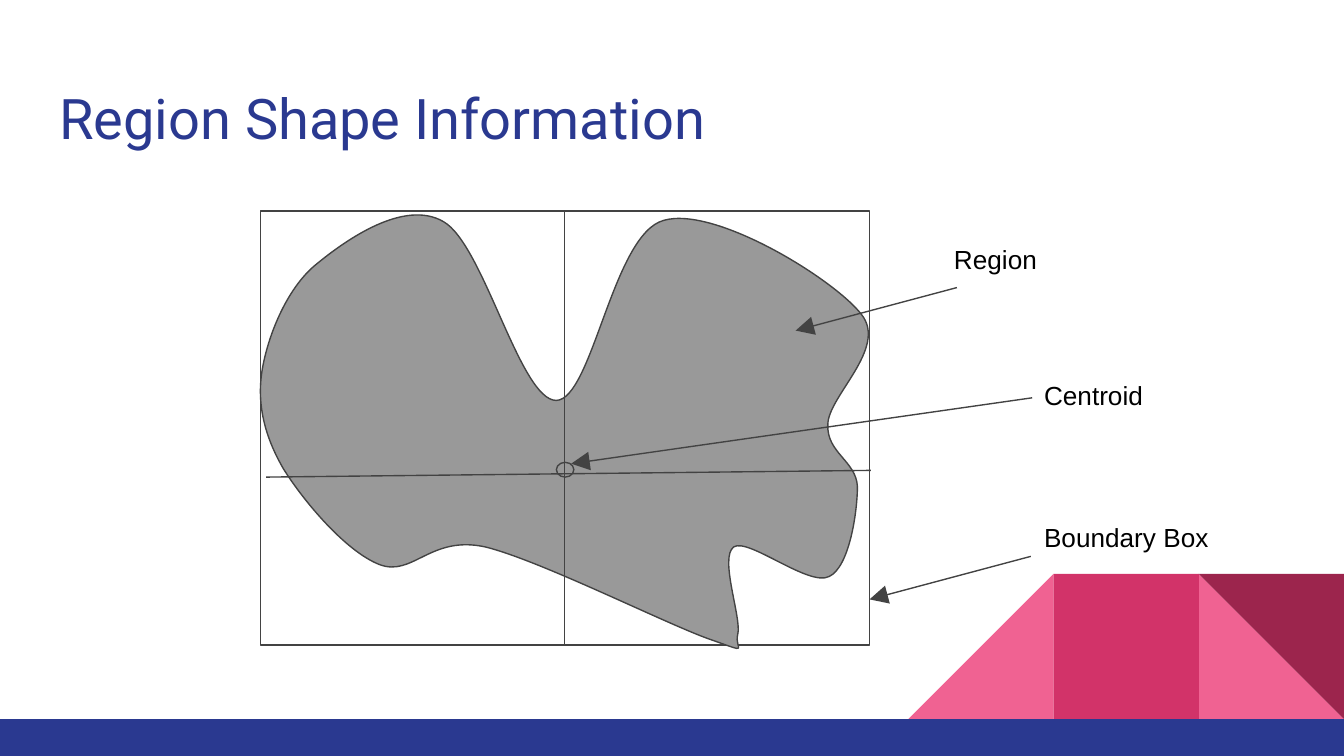
from lxml import etree
from pptx import Presentation
from pptx.dml.color import RGBColor
from pptx.enum.shapes import MSO_CONNECTOR, MSO_SHAPE
from pptx.enum.text import MSO_ANCHOR, PP_ALIGN
from pptx.oxml.ns import qn
from pptx.util import Inches, Pt

COLORS = {"navy": "2A3990", "pink": "F06292", "rose": "D23369", "wine": "9C254D",
          "gray": "999999", "line": "434343", "white": "FFFFFF", "black": "000000"}

REGION_BOX = (1.94, 1.6, 4.53, 3.23)
REGION_START = (1.95, 2.76)
# Each row: first control point, second control point, end point
REGION_CURVES = [
    (1.99, 2.51, 2.13, 2.15, 2.35, 1.97),
    (2.58, 1.78, 3.01, 1.48, 3.3, 1.65),
    (3.6, 1.82, 3.87, 2.98, 4.14, 2.98),
    (4.41, 2.97, 4.56, 1.74, 4.94, 1.64),
    (5.32, 1.53, 6.21, 2.08, 6.41, 2.34),
    (6.61, 2.59, 6.16, 2.95, 6.16, 3.16),
    (6.15, 3.37, 6.37, 3.43, 6.38, 3.62),
    (6.38, 3.81, 6.32, 4.22, 6.17, 4.29),
    (6.02, 4.37, 5.57, 4, 5.46, 4.07),
    (5.35, 4.15, 5.52, 4.6, 5.49, 4.72),
    (5.46, 4.83, 5.6, 4.87, 5.29, 4.76),
    (4.97, 4.65, 4.02, 4.17, 3.61, 4.07),
    (3.2, 3.98, 3.07, 4.3, 2.82, 4.2),
    (2.57, 4.1, 2.26, 3.73, 2.11, 3.49),
    (1.97, 3.25, 1.91, 3.01, 1.95, 2.76),
]


def rgb(name):
    """Return the named colour."""
    return RGBColor.from_string(COLORS[name])


def write(tf, text, size=14, font="Arial", color="black", line_spacing=None, after=None):
    """Write one formatted, left-aligned paragraph into a text frame."""
    tf.word_wrap = True
    tf.vertical_anchor = MSO_ANCHOR.TOP
    tf.margin_left = tf.margin_right = tf.margin_top = tf.margin_bottom = Inches(0.1)
    p = tf.paragraphs[0]
    p.alignment = PP_ALIGN.LEFT
    p.line_spacing = line_spacing
    p.space_after = after
    r = p.add_run()
    r.text = text
    r.font.size = Pt(size)
    r.font.name = font
    r.font.color.rgb = rgb(color)


class Canvas:
    """Holds the current slide and its drawing style."""

    def __init__(self, s, line="line", width=0.75):
        self.s, self.line_color, self.width = s, line, width

    def stroke(self, line):
        """Apply the outline style."""
        line.color.rgb = rgb(self.line_color)
        line.width = Pt(self.width)

    def paint(self, sp, fill, outline=True):
        """Set fill and outline of a shape."""
        sp.shadow.inherit = False
        sp.fill.solid()
        sp.fill.fore_color.rgb = rgb(fill)
        if outline:
            self.stroke(sp.line)
        else:
            sp.line.fill.background()
        return sp

    def shape(self, kind, box, fill, outline=True):
        """Add a preset shape."""
        sp = self.s.shapes.add_shape(kind, *map(Inches, box))
        return self.paint(sp, fill, outline)

    def curve(self, box, start, curves, fill):
        """Add a closed freeform whose segments are cubic curves."""
        left, top, width, height = map(Inches, box)
        fb = self.s.shapes.build_freeform(*map(Inches, start))
        fb.add_line_segments([tuple(map(Inches, row[4:])) for row in curves], close=True)
        sp = self.paint(fb.convert_to_shape(), fill)
        sp.left, sp.top, sp.width, sp.height = left, top, width, height

        outline = sp._element.find(".//" + qn("a:pathLst"))[0]
        outline.set("w", str(width))
        outline.set("h", str(height))

        def add_points(node, values):
            """Append points relative to the box."""
            for x, y in zip(values[::2], values[1::2]):
                etree.SubElement(node, qn("a:pt"), x=str(Inches(x) - left),
                                 y=str(Inches(y) - top))

        for node in list(outline):
            outline.remove(node)
        add_points(etree.SubElement(outline, qn("a:moveTo")), start)
        for row in curves:
            add_points(etree.SubElement(outline, qn("a:cubicBezTo")), row)
        etree.SubElement(outline, qn("a:close"))

    def line(self, start, end, arrow=False):
        """Add a straight line, with an arrowhead at its end if asked."""
        cx = self.s.shapes.add_connector(MSO_CONNECTOR.STRAIGHT, *map(Inches, start + end))
        self.stroke(cx.line)
        if arrow:
            ln = cx._element.spPr.find(qn("a:ln"))
            etree.SubElement(ln, qn("a:tailEnd"), type="triangle", w="lg", len="lg")
        etree.SubElement(cx._element.spPr, qn("a:effectLst"))

    def label(self, text, x, y, w=1.43):
        """Add a text label."""
        sp = self.s.shapes.add_textbox(*map(Inches, (x, y, w, 0.43)))
        write(sp.text_frame, text)

    def title(self, text, box):
        """Place and fill the title placeholder."""
        sp = self.s.shapes.title
        sp.left, sp.top, sp.width, sp.height = map(Inches, box)
        write(sp.text_frame, text, size=30, font="Roboto", color="navy",
              line_spacing=1.15, after=Pt(16))


def add_corner(canvas, side=1.08, top=4.27):
    """Draw the corner triangles and the footer band."""
    tri = MSO_SHAPE.RIGHT_TRIANGLE
    right, middle, left = (10 - n * side for n in (1, 2, 3))
    canvas.shape(tri, (right, top, side, side), "pink", False)
    sp = canvas.shape(tri, (left, top, side, side), "pink", False)
    sp._element.spPr.xfrm.set("flipH", "1")
    canvas.shape(MSO_SHAPE.RECTANGLE, (middle, top, side, side), "rose", False)
    canvas.shape(tri, (right, top, side, side), "wine", False).rotation = 180
    canvas.shape(MSO_SHAPE.RECTANGLE, (0, 5.35, 10, 0.28), "navy", False)


def main():
    """Build the slide and save it."""
    prs = Presentation()
    prs.slide_width, prs.slide_height = Inches(10), Inches(5.625)
    canvas = Canvas(prs.slides.add_slide(prs.slide_layouts[5]))
    add_corner(canvas)
    canvas.title("Region Shape Information", (0.34, 0.45, 9.32, 0.66))

    canvas.shape(MSO_SHAPE.RECTANGLE, (1.94, 1.57, 4.53, 3.23), "white")
    canvas.curve(REGION_BOX, REGION_START, REGION_CURVES, "gray")
    canvas.shape(MSO_SHAPE.OVAL, (4.14, 3.44, 0.13, 0.11), "gray")

    callouts = [
        ("Region", (7, 1.71), (7.12, 2.14), (5.92, 2.46)),
        ("Boundary Box", (7.67, 3.78), (7.67, 4.14), (6.47, 4.46)),
        ("Centroid", (7.67, 2.72, 1.36), (7.68, 2.96), (4.25, 3.45)),
    ]
    for text, place, start, end in callouts:
        canvas.line(start, end, arrow=True)
        canvas.label(text, *place)

    canvas.line((4.2, 1.57), (4.2, 4.79))
    canvas.line((1.98, 3.55), (6.48, 3.5))
    prs.save("out.pptx")


main()
